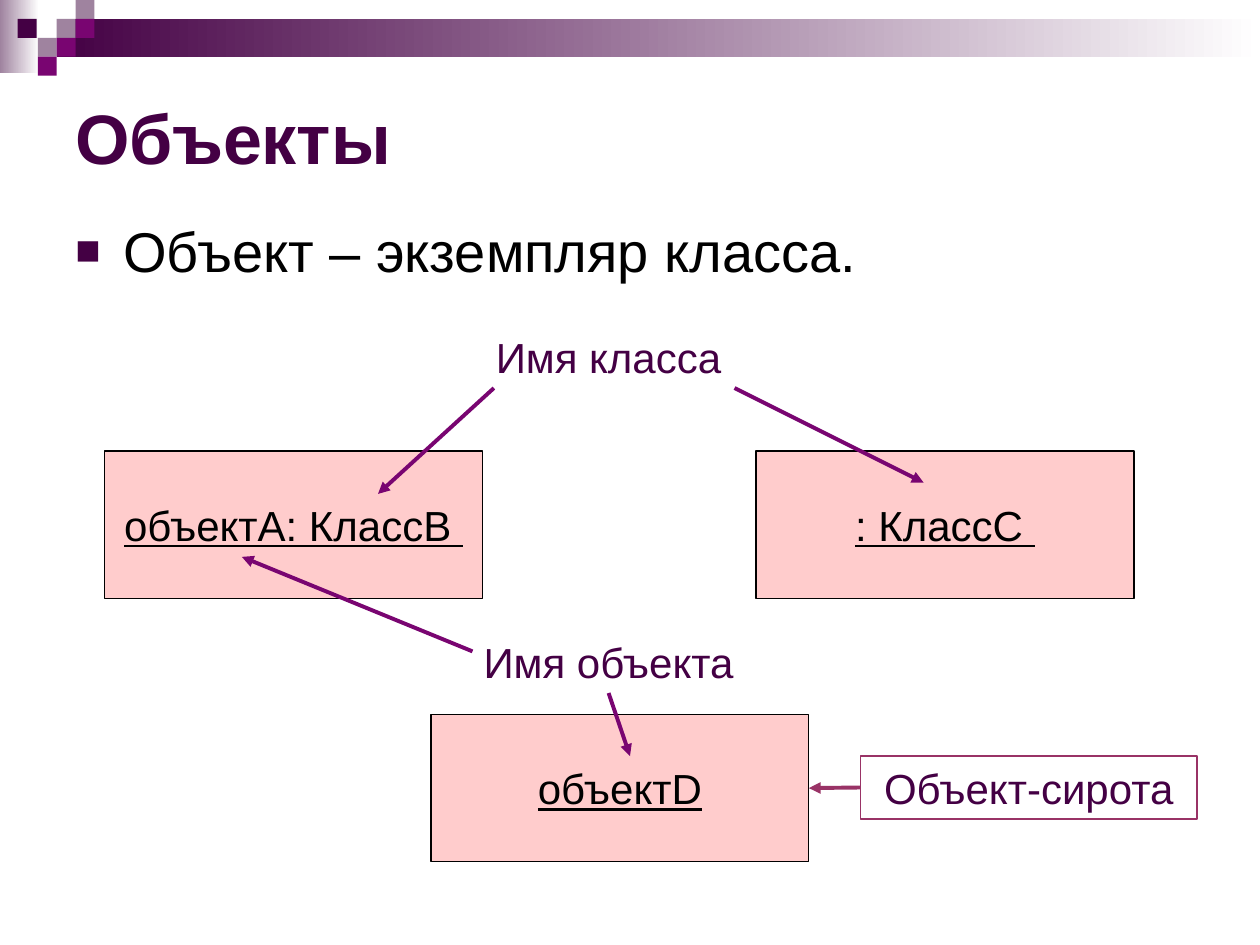
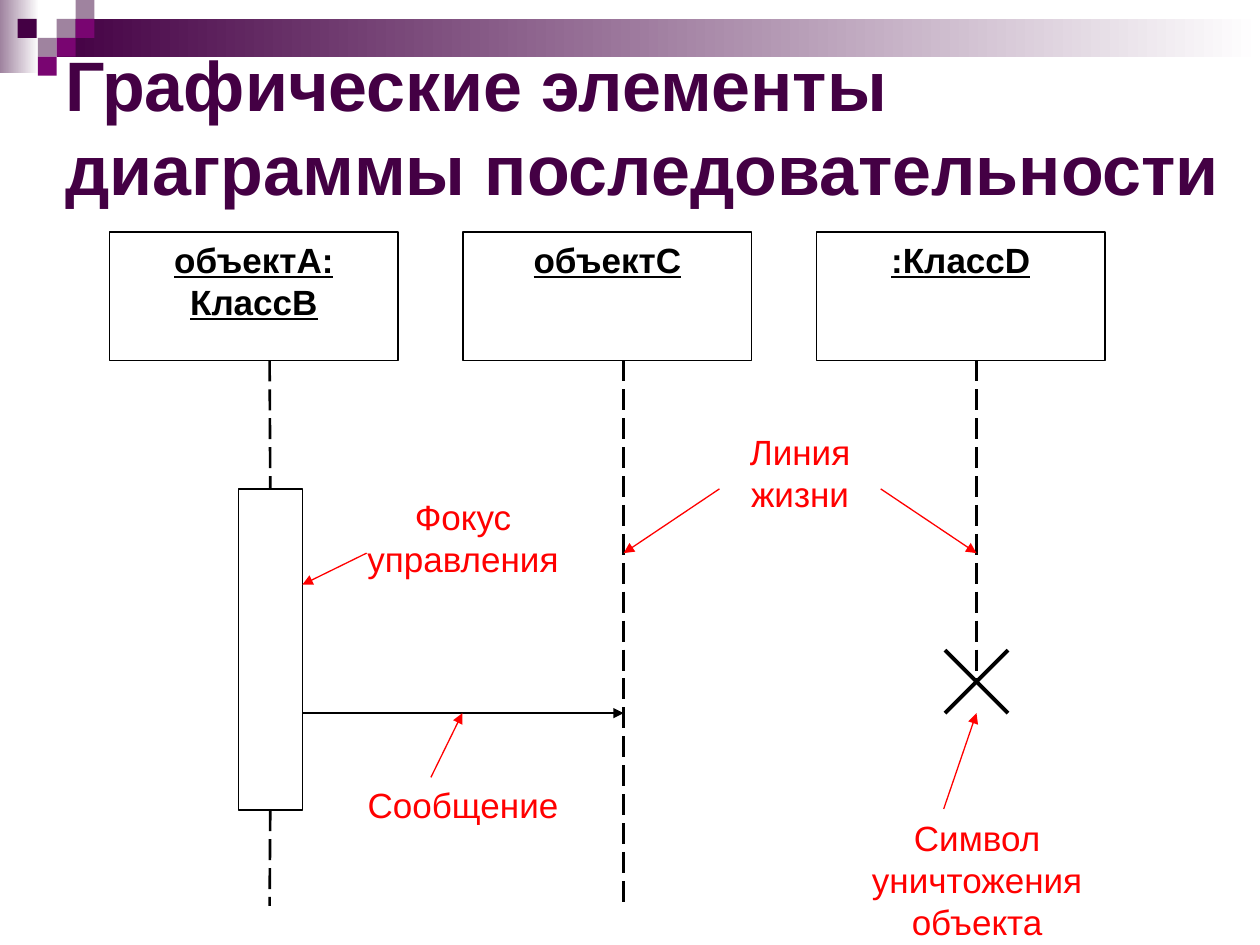
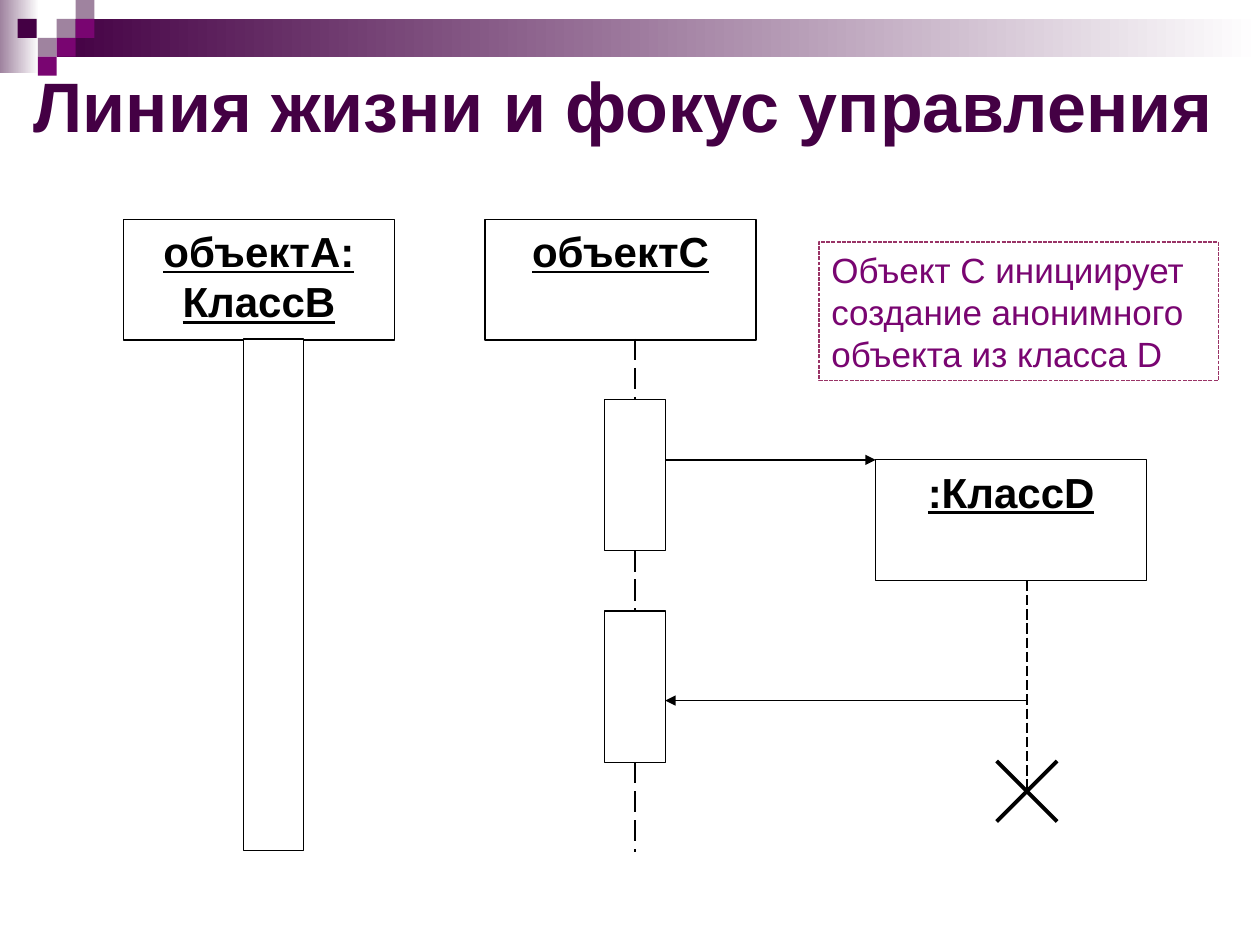
from pptx import Presentation
from pptx.dml.color import RGBColor
from pptx.enum.dml import MSO_LINE
from pptx.enum.shapes import MSO_CONNECTOR, MSO_SHAPE
from pptx.enum.text import MSO_ANCHOR, PP_ALIGN
from pptx.oxml.ns import qn
from pptx.util import Inches, Pt
from lxml import etree

RECT = MSO_SHAPE.RECTANGLE
STRAIGHT = MSO_CONNECTOR.STRAIGHT
LONG_DASH, FINE_DASH = MSO_LINE.LONG_DASH, MSO_LINE.SQUARE_DOT
LEFT, CENTER = PP_ALIGN.LEFT, PP_ALIGN.CENTER
TOP, MIDDLE = MSO_ANCHOR.TOP, MSO_ANCHOR.MIDDLE
FONT = "Arial"
C = {
    "dark": "440044", "purple": "790571", "mauve": "9F839F", "pink": "FFCCCC",
    "wine": "993366", "red": "FF0000", "black": "000000", "white": "FFFFFF",
}


def box(s, x, y, w, h, text="", size=20, color="black", bold=False, underline=False,
        align=CENTER, anchor=TOP, wrap=True, fill=None, fade=None, line=None,
        dash=None, bullet=None):
    area = Inches(x), Inches(y), Inches(w), Inches(h)
    if fill or fade or line:
        sp = s.shapes.add_shape(RECT, *area)
        sp.shadow.inherit = False
        if fade:
            sp.fill.gradient()
            sp.fill.gradient_angle = 0
            for stop, position, name in zip(sp.fill.gradient_stops, (0, 1), (fade, "white")):
                stop.position = position
                stop.color.rgb = RGBColor.from_string(C[name])
        elif fill:
            sp.fill.solid()
            sp.fill.fore_color.rgb = RGBColor.from_string(C[fill])
        else:
            sp.fill.background()
        if line:
            sp.line.color.rgb = RGBColor.from_string(C[line])
            sp.line.width = Pt(0.75)
            if dash:
                sp.line.dash_style = dash
        else:
            sp.line.fill.background()
    else:
        sp = s.shapes.add_textbox(*area)
    if not text:
        return sp
    tf = sp.text_frame
    tf.word_wrap = wrap
    tf.vertical_anchor = anchor
    for i, row in enumerate(text.split("\n")):
        p = tf.add_paragraph() if i else tf.paragraphs[0]
        p.alignment = align
        if bullet:
            pPr = p._p.get_or_add_pPr()
            pPr.set("marL", str(Inches(0.38)))
            pPr.set("indent", str(-Inches(0.38)))
            tint = etree.SubElement(pPr, qn("a:buClr"))
            etree.SubElement(tint, qn("a:srgbClr"), val=C["dark"])
            etree.SubElement(pPr, qn("a:buSzPct"), val="75000")
            etree.SubElement(pPr, qn("a:buFont"), typeface=FONT)
            etree.SubElement(pPr, qn("a:buChar"), char=bullet)
        r = p.add_run()
        r.text = row
        r.font.name = FONT
        r.font.size = Pt(size)
        r.font.bold = bold
        r.font.underline = underline
        r.font.color.rgb = RGBColor.from_string(C[color])
    return sp


def connect(s, x1, y1, x2, y2, color="black", width=0.75, dash=None, arrow=False,
            begin=None, end=None):
    cn = s.shapes.add_connector(STRAIGHT, Inches(x1), Inches(y1), Inches(x2), Inches(y2))
    if begin:
        cn.begin_connect(*begin)
    if end:
        cn.end_connect(*end)
    cn.line.color.rgb = RGBColor.from_string(C[color])
    cn.line.width = Pt(width)
    if dash:
        cn.line.dash_style = dash
    if arrow:
        etree.SubElement(cn.line._get_or_add_ln(), qn("a:tailEnd"), type="triangle")
    etree.SubElement(cn._element.spPr, qn("a:effectLst"))


prs = Presentation()
prs.slide_width, prs.slide_height = Inches(10), Inches(7.5)

titles = [
    ("Объекты", 0.5, 0.5, 9, 1.17),
    ("Графические элементы диаграммы последовательности", 0.42, 0.33, 9.75, 1.33),
    ("Линия жизни и фокус управления", 0.17, 0.08, 10, 1.5),
]
squares = [
    (0.45, 0.15, "mauve"), (0.6, 0, "mauve"), (0.6, 0.15, "purple"), (0.3, 0.3, "mauve"),
    (0.14, 0.15, "dark"), (0.45, 0.3, "purple"), (0.3, 0.45, "purple"),
]
slides = []
for title, x, y, w, h in titles:
    s = prs.slides.add_slide(prs.slide_layouts[6])
    box(s, 0, 0, 0.31, 0.58, fade="mauve")
    box(s, 0.45, 0.15, 9.55, 0.3, fade="dark")
    for left, top, color in squares:
        box(s, left, top, 0.15, 0.15, fill=color)
    box(s, x, y, w, h, title, size=40, color="dark", bold=True, align=LEFT, anchor=MIDDLE)
    slides.append(s)
objects, elements, lifelines = slides

s = objects
box(s, 0.5, 1.67, 9, 0.72, "Объект – экземпляр класса.", size=32, align=LEFT, bullet="■")
for x, y, name in [(0.83, 3.58, "объектА: КлассВ "), (6, 3.58, ": КлассС "),
                   (3.42, 5.67, "объектD")]:
    object_d = box(s, x, y, 3, 1.17, name, size=24, underline=True, anchor=MIDDLE,
                   wrap=False, fill="pink", line="black")
for y, label in [(2.58, "Имя класса"), (5, "Имя объекта")]:
    box(s, 3.58, y, 2.5, 0.5, label, size=24, color="dark")
for ends in [(5.83, 3.08, 7.33, 3.83), (3.92, 3.08, 3, 3.92),
             (3.75, 5.17, 1.92, 4.42), (4.83, 5.5, 5, 6)]:
    connect(s, *ends, color="purple", width=2.25, arrow=True)
orphan = box(s, 6.83, 6, 2.67, 0.5, "Объект-сирота", size=24, color="dark", line="wine")
connect(s, 6.83, 6.25, 6.42, 6.25, color="wine", width=2.25, arrow=True,
        begin=(orphan, 1), end=(object_d, 3))

s = elements
for i, name in enumerate(["объектА:\nКлассВ", "объектС", ":КлассD"]):
    box(s, 0.87 + 2.805 * i, 1.84, 2.29, 1.02, name, bold=True, underline=True,
        fill="white", line="black")
focus = box(s, 1.89, 3.88, 0.51, 2.55, fill="white", line="black")
connect(s, 2.14, 2.86, 2.14, 3.88, width=1.5, dash=LONG_DASH, end=(focus, 0))
connect(s, 2.14, 6.43, 2.14, 7.19, width=1.5, dash=LONG_DASH, begin=(focus, 2))
connect(s, 4.95, 2.86, 4.95, 7.19, width=1.5, dash=LONG_DASH)
connect(s, 7.75, 2.86, 7.75, 5.41, width=1.5, dash=LONG_DASH)
connect(s, 2.4, 5.66, 4.95, 5.66, arrow=True)
for x, y, w, h, label in [
    (5.46, 3.37, 1.78, 1.02, "Линия жизни"),
    (6.48, 6.43, 2.55, 1.27, "Символ уничтожения объекта"),
    (2.4, 3.88, 2.55, 1.02, "Фокус управления"),
    (2.4, 6.17, 2.55, 0.76, "Сообщение"),
]:
    box(s, x, y, w, h, label, color="red")
for ends in [(5.71, 3.88, 4.95, 4.39), (6.99, 3.88, 7.75, 4.39), (7.49, 6.42, 7.75, 5.66),
             (2.91, 4.39, 2.4, 4.64), (3.42, 6.17, 3.67, 5.66)]:
    connect(s, *ends, color="red", arrow=True)

s = lifelines
for x, y, name in [(0.98, 1.74, "объектА:\nКлассВ"), (3.85, 1.74, "объектС"),
                   (6.95, 3.65, ":КлассD")]:
    box(s, x, y, 2.15, 0.96, name, size=24, bold=True, underline=True,
        fill="white", line="black")
box(s, 1.93, 2.69, 0.48, 4.06, fill="white", line="black")
first, second = [box(s, 4.8, y, 0.48, 1.2, fill="white", line="black") for y in (3.17, 4.85)]
for y1, y2, begin, end in [(2.69, 3.17, None, (first, 0)),
                           (4.37, 4.85, (first, 2), (second, 0)),
                           (6.05, 6.76, (second, 2), None)]:
    connect(s, 5.04, y1, 5.04, y2, width=1.5, dash=LONG_DASH, begin=begin, end=end)
connect(s, 5.28, 3.65, 6.95, 3.65, arrow=True)
connect(s, 8.15, 4.61, 8.15, 6.28, dash=LONG_DASH)
connect(s, 8.15, 5.56, 5.28, 5.56, arrow=True)
box(s, 6.5, 1.92, 3.17, 1.1, "Объект С инициирует создание анонимного объекта из класса D",
    color="purple", align=LEFT, line="wine", dash=FINE_DASH)

for s, x, y, half in [(elements, 7.75, 5.41, 0.25), (lifelines, 8.15, 6.28, 0.24)]:
    for rise in (half, -half):
        connect(s, x - half, y - rise, x + half, y + rise, width=2.25)

prs.save("out.pptx")
